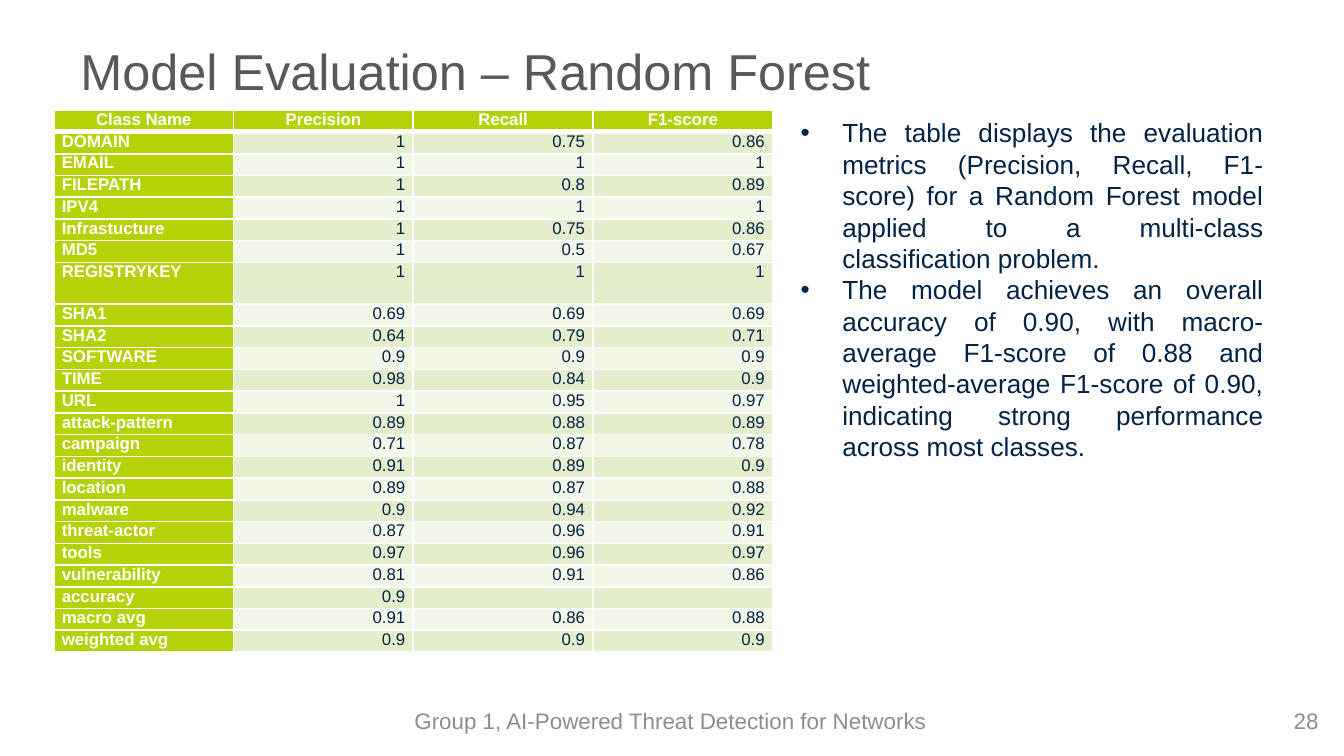
from lxml import etree
from pptx import Presentation
from pptx.dml.color import RGBColor
from pptx.enum import text as t
from pptx.oxml import ns
from pptx.util import Inches, Pt

TITLE = "Model Evaluation – Random Forest"
FOOTER = "Group 1, AI-Powered Threat Detection for Networks"
PAGE = "28"
HEADER = ("Class Name", "Precision", "Recall", "F1-score")
SCORES = [
    ("DOMAIN", "1", "0.75", "0.86"),
    ("EMAIL", "1", "1", "1"),
    ("FILEPATH", "1", "0.8", "0.89"),
    ("IPV4", "1", "1", "1"),
    ("Infrastucture", "1", "0.75", "0.86"),
    ("MD5", "1", "0.5", "0.67"),
    ("REGISTRYKEY", "1", "1", "1"),
    ("SHA1", "0.69", "0.69", "0.69"),
    ("SHA2", "0.64", "0.79", "0.71"),
    ("SOFTWARE", "0.9", "0.9", "0.9"),
    ("TIME", "0.98", "0.84", "0.9"),
    ("URL", "1", "0.95", "0.97"),
    ("attack-pattern", "0.89", "0.88", "0.89"),
    ("campaign", "0.71", "0.87", "0.78"),
    ("identity", "0.91", "0.89", "0.9"),
    ("location", "0.89", "0.87", "0.88"),
    ("malware", "0.9", "0.94", "0.92"),
    ("threat-actor", "0.87", "0.96", "0.91"),
    ("tools", "0.97", "0.96", "0.97"),
    ("vulnerability", "0.81", "0.91", "0.86"),
    ("accuracy", "0.9", "", ""),
    ("macro avg", "0.91", "0.86", "0.88"),
    ("weighted avg", "0.9", "0.9", "0.9"),
]
FINDINGS = [
    "The table displays the evaluation metrics (Precision, Recall, F1-score) for a Random Forest "
    "model applied to a multi-class classification problem. ",
    "The model achieves an overall accuracy of 0.90, with macro-average F1-score of 0.88 and "
    "weighted-average F1-score of 0.90, indicating strong performance across most classes.",
]
WHITE, NAVY, GREY, LIME = "FFFFFF", "022345", "8C8D94", "B5D107"
BANDS = ("E5EECC", "F3F7E7")
TABLE_WIDTH, TABLE_HEIGHT, TALL_ROW = 5.35, 4.04, 0.31
ALIGN = t.PP_ALIGN


def rgb(value):
    return RGBColor.from_string(value)


def write(frame, *lines, size, color, align=ALIGN.LEFT, bold=False, bullet=None):
    for i, line in enumerate(lines):
        paragraph = frame.paragraphs[0] if i == 0 else frame.add_paragraph()
        paragraph.alignment = align
        if bullet:
            props = paragraph._p.get_or_add_pPr()
            props.set("marL", str(Inches(0.31)))
            props.set("indent", str(Inches(-0.31)))
            etree.SubElement(props, ns.qn("a:buFont"), typeface="Arial")
            etree.SubElement(props, ns.qn("a:buChar"), char=bullet)
        if not line:
            etree.SubElement(paragraph._p, ns.qn("a:endParaRPr"), sz=str(size * 100))
            continue
        run = paragraph.add_run()
        run.text = line
        run.font.size = Pt(size)
        run.font.name = "Arial"
        run.font.bold = bold
        run.font.color.rgb = rgb(color)


def add_text(slide, box, *lines, anchor=t.MSO_ANCHOR.MIDDLE, **style):
    frame = slide.shapes.add_textbox(*map(Inches, box)).text_frame
    frame.word_wrap = True
    frame.vertical_anchor = anchor
    write(frame, *lines, **style)


def set_borders(cell, row):
    widths = {"L": 1, "R": 1, "T": 3 if row == 1 else 1, "B": 3 if row == 0 else 1}
    props = cell._tc.get_or_add_tcPr()
    for position, (side, width) in enumerate(widths.items()):
        line = etree.Element(ns.qn(f"a:ln{side}"), w=str(Pt(width)))
        fill = etree.SubElement(line, ns.qn("a:solidFill"))
        etree.SubElement(fill, ns.qn("a:srgbClr"), val=WHITE)
        props.insert(position, line)


def add_scores(slide):
    rows = [HEADER, *SCORES]
    table = slide.shapes.add_table(
        len(rows), len(HEADER), Inches(0.4), Inches(0.82), Inches(TABLE_WIDTH), Inches(TABLE_HEIGHT)
    ).table
    row_height = (TABLE_HEIGHT - TALL_ROW) / (len(rows) - 1)
    for column in table.columns:
        column.width = Inches(TABLE_WIDTH / len(HEADER))
    for r, values in enumerate(rows):
        table.rows[r].height = Inches(TALL_ROW if values[0] == "REGISTRYKEY" else row_height)
        for c, value in enumerate(values):
            cell = table.cell(r, c)
            cell.margin_left = cell.margin_right = Inches(0.06)
            cell.margin_top = cell.margin_bottom = 0
            heading = r == 0 or c == 0
            cell.fill.solid()
            cell.fill.fore_color.rgb = rgb(LIME if heading else BANDS[(r - 1) % 2])
            set_borders(cell, r)
            align = ALIGN.CENTER if r == 0 else ALIGN.JUSTIFY if c == 0 else ALIGN.RIGHT
            write(cell.text_frame, value, size=9, color=WHITE if heading else NAVY,
                  align=align, bold=heading)


def main():
    deck = Presentation()
    deck.slide_width = Inches(10)
    deck.slide_height = deck.slide_width * 9 // 16
    slide = deck.slides.add_slide(deck.slide_layouts[6])
    add_text(slide, (0.5, 0.23, 9, 0.59), TITLE, size=27, color="58595B")
    add_text(slide, (1.82, 5.21, 6.34, 0.3), FOOTER, size=12, color=GREY, align=ALIGN.CENTER)
    add_text(slide, (7.58, 5.21, 2.33, 0.3), PAGE, size=12, color=GREY, align=ALIGN.RIGHT)
    add_scores(slide)
    add_text(slide, (5.86, 0.82, 3.64, 2.93), *FINDINGS, anchor=t.MSO_ANCHOR.TOP,
             size=14, color=NAVY, align=ALIGN.JUSTIFY, bullet="•")
    deck.save("out.pptx")


if __name__ == "__main__":
    main()
